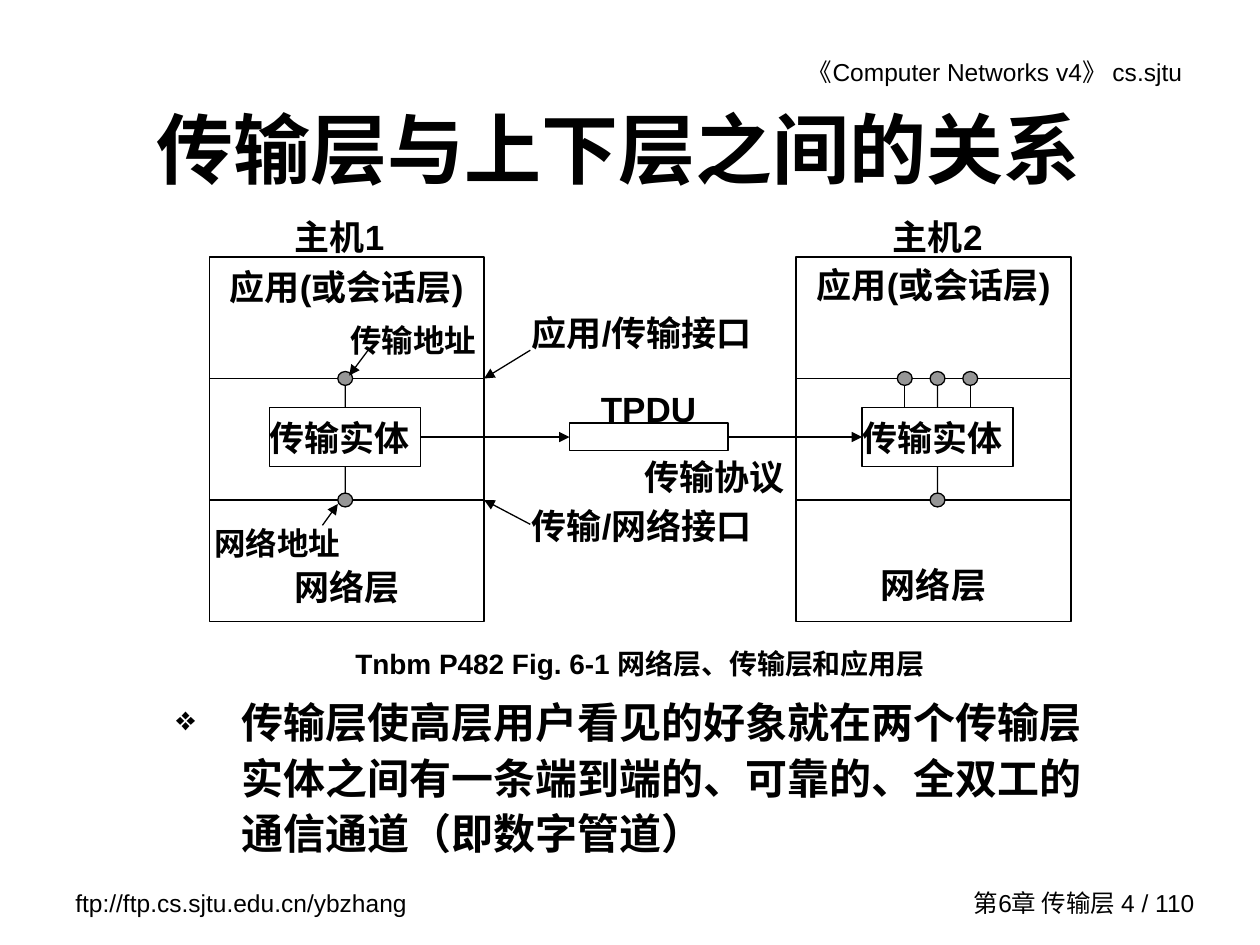
from dataclasses import dataclass

from lxml.etree import SubElement
from pptx import Presentation
from pptx.dml.color import RGBColor as RGB
from pptx.enum.shapes import MSO_CONNECTOR as Link, MSO_SHAPE as Kind
from pptx.enum.text import MSO_ANCHOR as Anchor, PP_ALIGN as Align
from pptx.oxml.ns import qn
from pptx.util import Cm, Pt


@dataclass(frozen=True)
class Theme:
    ink: RGB = RGB(0, 0, 0)
    dot: RGB = RGB(0x96, 0x96, 0x96)
    font: str = "Arial"
    head: str = "Noto Sans CJK SC"
    title: int = 44
    body: int = 24
    label: int = 20
    small: int = 18
    note: int = 16
    foot: int = 14
    line: float = 0.75


theme = Theme()
deck = Presentation()
deck.slide_width, deck.slide_height = Cm(25.4), Cm(19.05)
slide = deck.slides.add_slide(deck.slide_layouts[6])


def draw(kind, x, y, w, h, text="", size=theme.label, align=Align.CENTER,
         pad=(0.1, 0.1), bold=True, lead=None, anchor=Anchor.TOP,
         fill=None, font=theme.font, mark=None):
    """Add a preset shape, or a text box when kind is None."""
    place = Cm(x), Cm(y), Cm(w), Cm(h)
    if kind is None:
        shape = slide.shapes.add_textbox(*place)
    else:
        shape = slide.shapes.add_shape(kind, *place)
        shape.shadow.inherit = False
        shape.line.color.rgb = theme.ink
        shape.line.width = Pt(theme.line)
        if fill is None:
            shape.fill.background()
        else:
            shape.fill.solid()
            shape.fill.fore_color.rgb = fill
    if text:
        frame = shape.text_frame
        frame.word_wrap = True
        frame.vertical_anchor = anchor
        frame.margin_left = frame.margin_right = Cm(pad[0])
        frame.margin_top = frame.margin_bottom = Cm(pad[1])
        para = frame.paragraphs[0]
        para.text = text
        para.alignment = align
        if lead:
            para.line_spacing = lead
        if mark:
            props = para._p.get_or_add_pPr()
            props.set("marL", str(Cm(1.32)))
            props.set("indent", str(-Cm(1.32)))
            SubElement(props, qn("a:buSzPct"), val="80000")
            SubElement(props, qn("a:buChar"), char=mark)
        para.font.name = font
        para.font.size = Pt(size)
        para.font.bold = bold
        para.font.color.rgb = theme.ink
    return shape


def join(x1, y1, x2, y2, start=None, end=None, arrow=True):
    """Add a line; start and end are (shape, side) pairs to attach to."""
    line = slide.shapes.add_connector(
        Link.STRAIGHT, Cm(x1), Cm(y1), Cm(x2), Cm(y2))
    if start:
        line.begin_connect(*start)
    if end:
        line.end_connect(*end)
    line.line.color.rgb = theme.ink
    line.line.width = Pt(theme.line)
    props = line._element.spPr
    if arrow:
        SubElement(props.find(qn("a:ln")), qn("a:tailEnd"), type="triangle")
    SubElement(props, qn("a:effectLst"))


# Header and footer
wide = (0.25, 0.13)
plain = dict(size=theme.foot, pad=wide, bold=False)
draw(None, 13.41, 1.02, 10.67, 0.86, "《Computer Networks v4》 cs.sjtu",
     align=Align.RIGHT, **plain)
draw(None, 1.27, 17.78, 7.42, 0.86, "ftp://ftp.cs.sjtu.edu.cn/ybzhang",
     align=Align.LEFT, **plain)
draw(None, 18.59, 17.78, 5.74, 0.84, "第6章 传输层 4 / 110",
     align=Align.RIGHT, anchor=Anchor.MIDDLE, **plain)

# Title and body
draw(None, 1.69, 1.7, 21.59, 2.54, "传输层与上下层之间的关系", theme.title,
     pad=wide, anchor=Anchor.MIDDLE, font=theme.head)
draw(None, 3.3, 13.82, 18.82, 3.89,
     "传输层使高层用户看见的好象就在两个传输层实体之间有一条端到端的、"
     "可靠的、全双工的通信通道（即数字管道）",
     theme.body, Align.LEFT, wide, lead=1.1, mark="❖")

# Hosts: three layers, a transport entity and its address points
top, high, broad = 5.18, 2.45, 5.54
upper, lower = top + high, top + 2 * high
ends = []
for name, left, tag, mid, gaps, leads in (
        ("主机1", 4.22, 5.64, 6.96, (0,), (1.2, 2.4)),
        ("主机2", 16.05, 17.7, 18.9, (-0.66, 0, 0.66), (1.16, 2.36))):
    draw(None, tag, 4.24, 2.41, 0.91, name)
    draw(Kind.RECTANGLE, left, top, broad, high, "应用(或会话层)",
         pad=(0, 0), lead=leads[0])
    draw(Kind.RECTANGLE, left, upper, broad, high)
    draw(Kind.RECTANGLE, left, lower, broad, high, "网络层",
         pad=wide, lead=leads[1])
    unit = draw(Kind.RECTANGLE, mid - 1.52, 8.22, 3.04, 1.18, "传输实体",
                align=Align.JUSTIFY, pad=(0, 0), anchor=Anchor.MIDDLE)
    ends.append(unit)
    for gap in gaps:
        x = mid + gap
        join(x, upper, x, 8.22, end=None if gap else (unit, 0), arrow=False)
        draw(Kind.OVAL, x - 0.15, upper - 0.14, 0.3, 0.28, fill=theme.dot)
    join(mid, 9.4, mid, lower, start=(unit, 2), arrow=False)
    draw(Kind.OVAL, mid - 0.15, lower - 0.14, 0.3, 0.28, fill=theme.dot)

# TPDU passing between the entities
unit = draw(Kind.RECTANGLE, 11.48, 8.53, 3.2, 0.56)
join(8.48, 8.81, 11.48, 8.81, (ends[0], 3), (unit, 1))
join(14.68, 8.81, 17.38, 8.81, (unit, 3), (ends[1], 1))
draw(None, 11.79, 7.72, 2.57, 0.84, "TPDU")

# Labels and their pointers
for text, x, y, w, h, size, lead in (
        ("传输地址", 6.96, 6.38, 2.79, 1.19, theme.small, None),
        ("网络地址", 4.22, 10.01, 2.87, 1.19, theme.small, 1.6),
        ("应用/传输接口", 10.62, 6.17, 4.83, 1.19, theme.label, None),
        ("传输/网络接口", 10.62, 10.08, 4.83, 1.19, theme.label, None),
        ("传输协议", 12.9, 9.09, 3.23, 0.91, theme.label, None)):
    draw(None, x, y, w, h, text, size, Align.JUSTIFY, lead=lead)
for ray in ((7.42, 7.06, 7.04, 7.57), (6.5, 10.59, 6.81, 10.16),
            (10.69, 7.06, 9.76, upper), (10.69, 10.57, 9.76, lower)):
    join(*ray)

# Caption
draw(None, 4.22, 12.93, 17.37, 0.91,
     "Tnbm P482 Fig. 6-1 网络层、传输层和应用层", theme.note)

deck.save("out.pptx")
